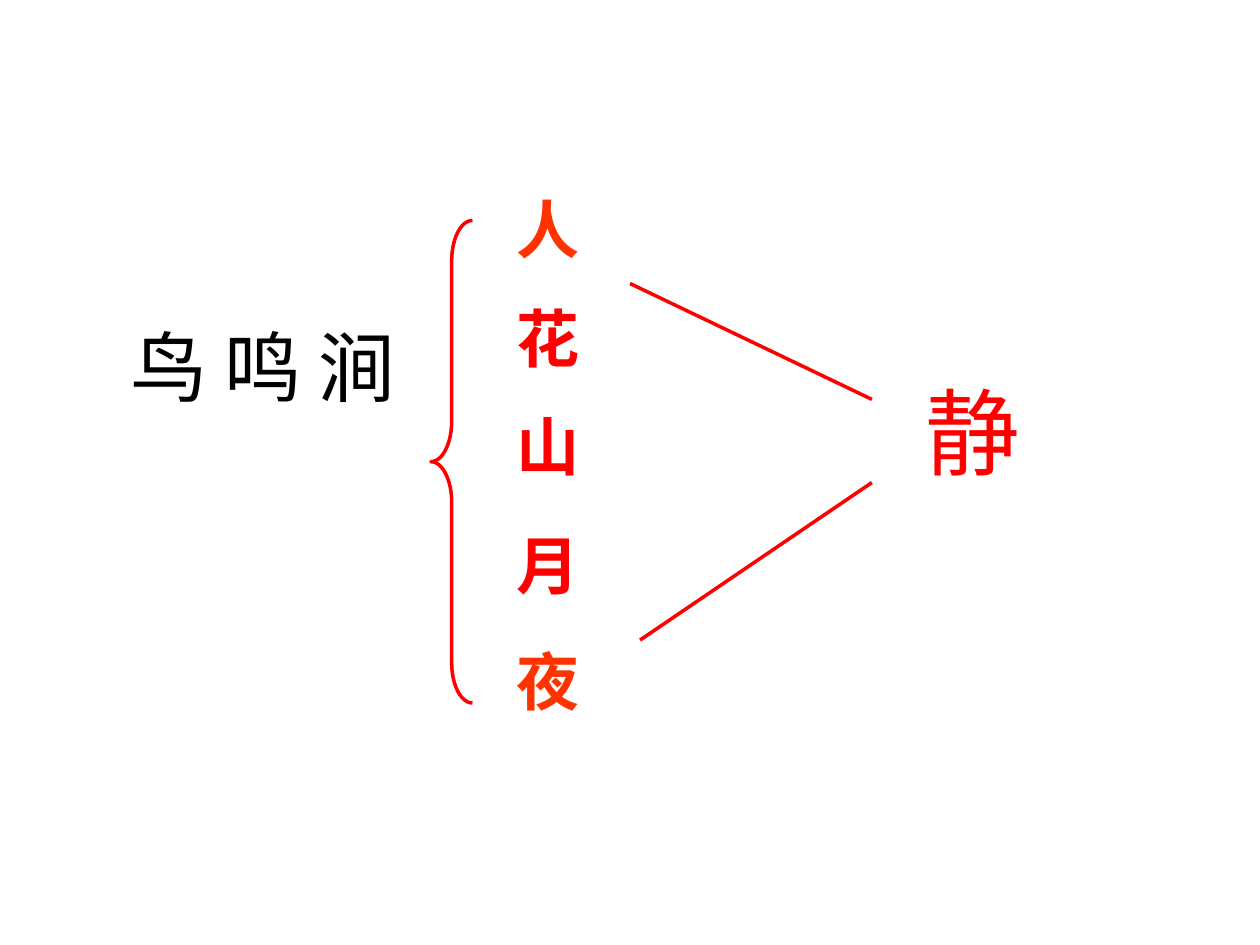
from lxml import etree
from pptx import Presentation
from pptx.dml.color import RGBColor
from pptx.enum.shapes import MSO_CONNECTOR, MSO_SHAPE
from pptx.enum.text import MSO_ANCHOR, PP_ALIGN
from pptx.oxml.ns import qn
from pptx.util import Inches, Pt

STRAIGHT = MSO_CONNECTOR.STRAIGHT
LEFT_BRACE = MSO_SHAPE.LEFT_BRACE
MIDDLE, TOP = MSO_ANCHOR.MIDDLE, MSO_ANCHOR.TOP
CENTER, LEFT = PP_ALIGN.CENTER, PP_ALIGN.LEFT

BLACK = RGBColor(0x00, 0x00, 0x00)
RED = RGBColor(0xFF, 0x00, 0x00)
ORANGE = RGBColor(0xFF, 0x33, 0x00)
FONT = "Arial"
LINE_WIDTH = Pt(2)

# Content (lengths in inches)
TITLE = ("鸟 鸣 涧", (0.92, 2.28, 2.34, 1.25))
MOOD = ("静", (7.25, 2.92, 1.25, 1))
IMAGERY_LEFT = 4
IMAGERY = [  # word, top, width, height, line spacing, colour
    ("人", 1.58, 1.42, 0.58, 0.8, ORANGE),
    ("花", 2.33, 1.42, 0.7, 1.0, RED),
    ("山", 3.25, 1.83, 0.64, 0.9, RED),
    ("月", 4.13, 0.7, 0.7, 1.0, RED),
    ("夜", 5.17, 2.08, 0.58, 0.8, ORANGE),
]
BRACE = (3.42, 1.75, 0.33, 3.83)
CONVERGING_LINES = [((5, 2.25), (6.92, 3.17)), ((5.08, 5.08), (6.92, 3.83))]


def inches(values):
    return [Inches(value) for value in values]


def write(shape, text, size, color, bold=False, spacing=1.0, align=LEFT, anchor=TOP):
    frame = shape.text_frame
    frame.word_wrap = True
    frame.vertical_anchor = anchor
    paragraph = frame.paragraphs[0]
    paragraph.alignment = align
    paragraph.line_spacing = spacing
    run = paragraph.add_run()
    run.text = text
    run.font.name = FONT
    run.font.size = Pt(size)
    run.font.bold = bold
    run.font.color.rgb = color


presentation = Presentation()
presentation.slide_width, presentation.slide_height = inches((10, 7.5))
slide = presentation.slides.add_slide(presentation.slide_layouts[5])
shapes = slide.shapes

# Poem title
text, box = TITLE
title = shapes.title
title.left, title.top, title.width, title.height = inches(box)
title.text_frame.margin_left = title.text_frame.margin_right = 0
write(title, text, 44, BLACK, align=CENTER, anchor=MIDDLE)

# Brace around the imagery
brace = shapes.add_shape(LEFT_BRACE, *inches(BRACE))
brace.shadow.inherit = False
brace.adjustments[0] = 0.97
brace.fill.background()
brace.line.color.rgb = RED
brace.line.width = LINE_WIDTH

# Imagery words
for word, top, width, height, spacing, color in IMAGERY:
    box = shapes.add_textbox(*inches((IMAGERY_LEFT, top, width, height)))
    write(box, word, 36, color, bold=True, spacing=spacing)

# Lines leading to the mood
for start, end in CONVERGING_LINES:
    line = shapes.add_connector(STRAIGHT, *inches(start + end))
    line.line.color.rgb = RED
    line.line.width = LINE_WIDTH
    etree.SubElement(line._element.spPr, qn("a:effectLst"))

# Mood
text, box = MOOD
write(shapes.add_textbox(*inches(box)), text, 54, RED)

presentation.save("out.pptx")
